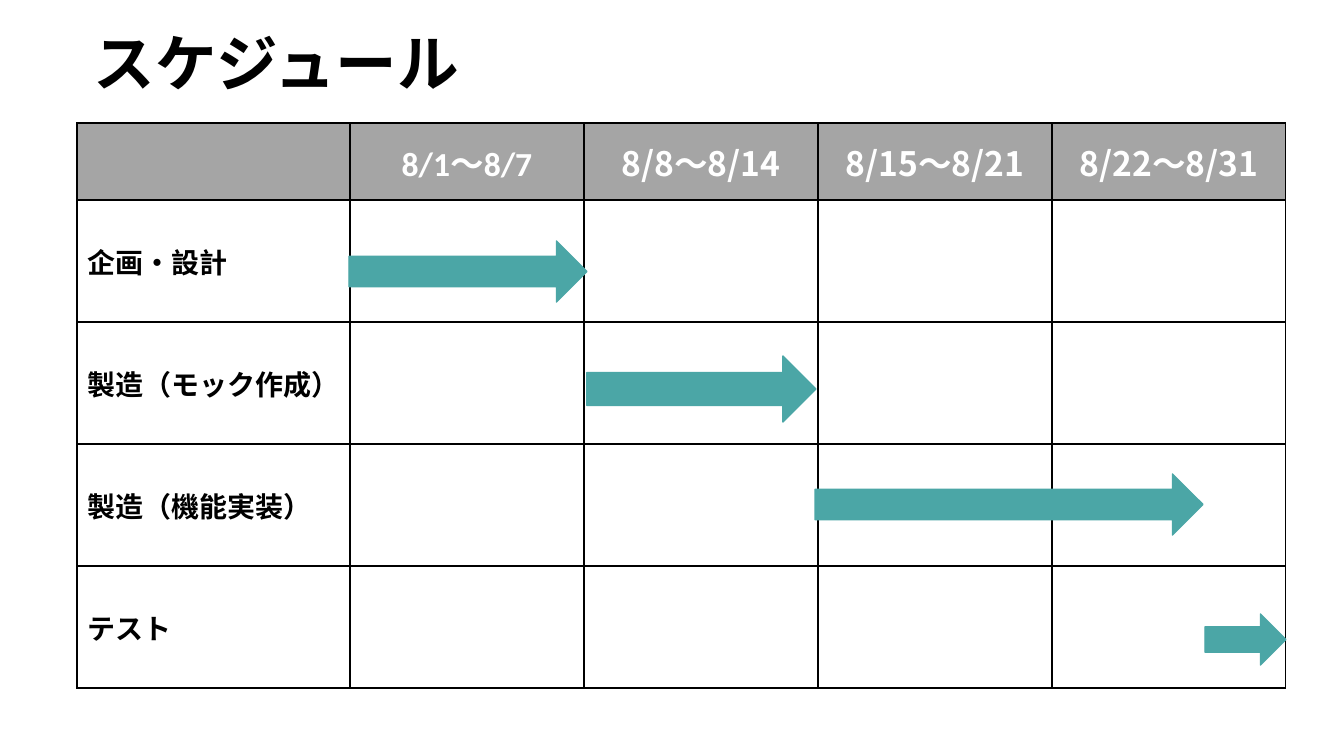
"""Build the project schedule slide: a task table with a timeline arrow per task."""
from lxml import etree
from pptx import Presentation
from pptx.dml.color import RGBColor
from pptx.enum.shapes import MSO_SHAPE
from pptx.enum.text import MSO_ANCHOR, MSO_AUTO_SIZE, PP_ALIGN
from pptx.oxml.ns import qn
from pptx.util import Emu, Pt

RIGHT_ARROW = MSO_SHAPE.RIGHT_ARROW
MIDDLE = MSO_ANCHOR.MIDDLE
LEFT, CENTER = PP_ALIGN.LEFT, PP_ALIGN.CENTER
NO_AUTOFIT = MSO_AUTO_SIZE.NONE

BLACK = RGBColor(0x00, 0x00, 0x00)
WHITE = RGBColor(0xFF, 0xFF, 0xFF)
GRAY = RGBColor(0xA5, 0xA5, 0xA5)
TEAL = RGBColor(0x4B, 0xA6, 0xA6)
LATIN, JAPANESE = "Calibri", "Noto Sans CJK JP"

PERIODS = ["8/1～8/7", "8/8～8/14", "8/15～8/21", "8/22～8/31"]
TASKS = ["企画・設計", "製造（モック作成）", "製造（機能実装）", "テスト"]
ARROWS = [
    (349, 241, 238, 61),
    (587, 356, 229, 66),
    (815, 474, 388, 61),
    (1205, 614, 81, 51),
]
TABLE_X, TABLE_Y = 77, 123
TASK_W, PERIOD_W = 273, 234
HEADER_H, TASK_H = 77, 122


def px(n):
    return Emu(round(n * 914400 / 100.8))


def style(tf, size, color, align, font=LATIN):
    p = tf.paragraphs[0]
    p.alignment = align
    for r in p.runs:
        r.font.size = Pt(size)
        r.font.bold = True
        r.font.name = font
        r.font.color.rgb = color


prs = Presentation()
prs.slide_width, prs.slide_height = px(1344), px(756)
s = prs.slides.add_slide(prs.slide_layouts[5])

title = s.shapes.title
title.left, title.top, title.width, title.height = px(22), px(9), px(1159), px(115)
tf = title.text_frame
tf.text = "　スケジュール"
tf.auto_size = NO_AUTOFIT
tf.vertical_anchor = MIDDLE
tf.paragraphs[0].line_spacing = 0.9
style(tf, 44, BLACK, LEFT)

col_widths = [TASK_W] + [PERIOD_W] * len(PERIODS)
row_heights = [HEADER_H] + [TASK_H] * len(TASKS)
frame = s.shapes.add_table(len(row_heights), len(col_widths), px(TABLE_X), px(TABLE_Y),
                           px(sum(col_widths)), px(sum(row_heights)))
table = frame.table
for column, width in zip(table.columns, col_widths):
    column.width = px(width)
for row, height in zip(table.rows, row_heights):
    row.height = px(height)

for cell in table.iter_cells():
    cell.vertical_anchor = MIDDLE
    tcPr = cell._tc.get_or_add_tcPr()
    for side in ("a:lnL", "a:lnR", "a:lnT", "a:lnB"):
        ln = etree.SubElement(tcPr, qn(side), w=str(Pt(1)))
        fill = etree.SubElement(ln, qn("a:solidFill"))
        etree.SubElement(fill, qn("a:srgbClr"), val=str(BLACK))
    cell.fill.solid()
    cell.fill.fore_color.rgb = WHITE

for cell in table.rows[0].cells:
    cell.fill.fore_color.rgb = GRAY
for i, period in enumerate(PERIODS):
    cell = table.cell(0, i + 1)
    cell.text = period
    style(cell.text_frame, 24, WHITE, CENTER, JAPANESE if i else LATIN)
for i, task in enumerate(TASKS):
    cell = table.cell(i + 1, 0)
    cell.text = task
    style(cell.text_frame, 20, BLACK, LEFT)

for x, y, w, h in ARROWS:
    arrow = s.shapes.add_shape(RIGHT_ARROW, px(x), px(y), px(w), px(h))
    arrow.shadow.inherit = False
    arrow.fill.solid()
    arrow.fill.fore_color.rgb = TEAL
    arrow.line.color.rgb = TEAL
    arrow.line.width = Pt(1)

prs.save("out.pptx")
